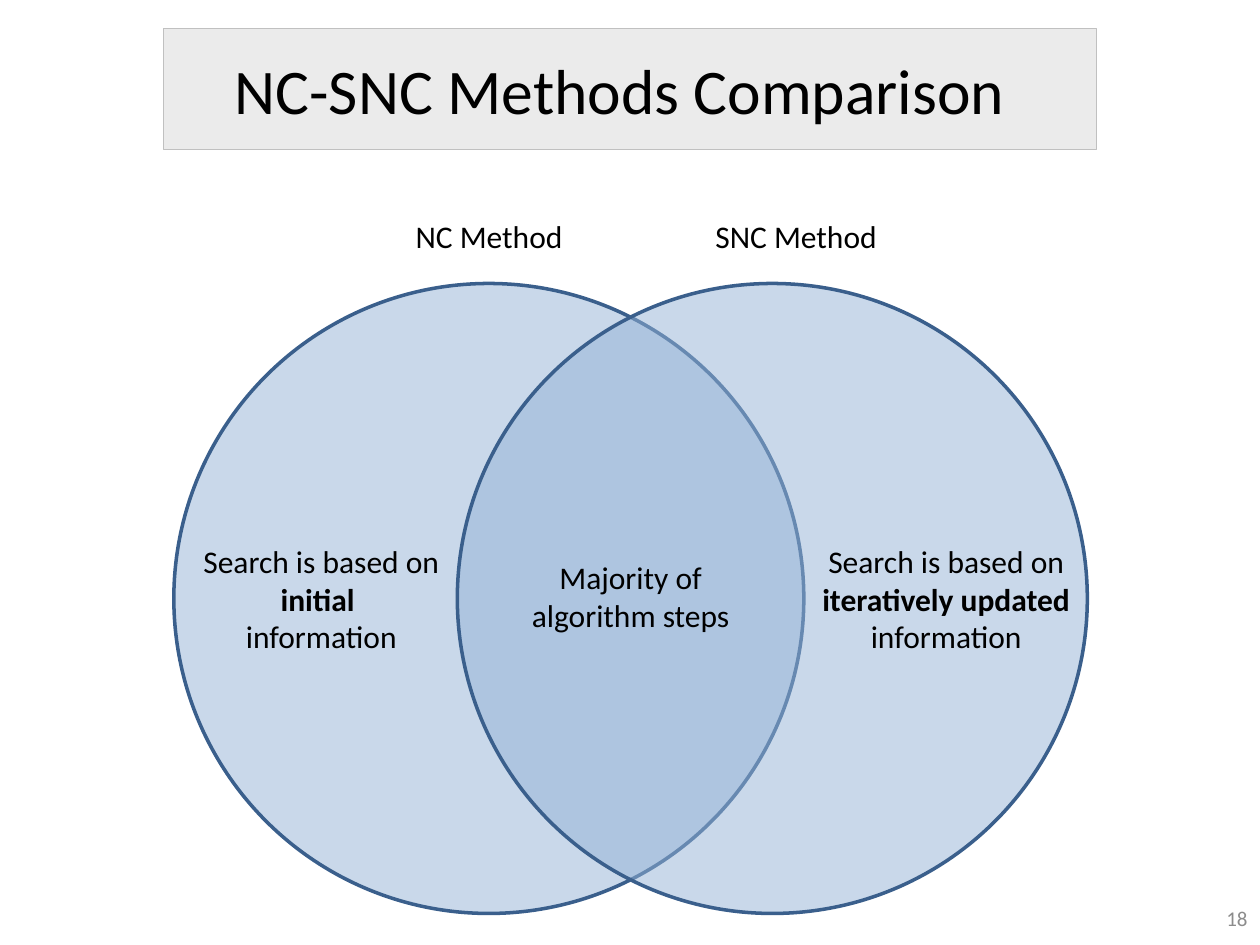
from dataclasses import dataclass

from lxml.etree import SubElement
from pptx import Presentation
from pptx.dml.color import RGBColor
from pptx.enum.shapes import MSO_SHAPE as Shape
from pptx.enum.text import MSO_ANCHOR as Anchor, PP_ALIGN as Align
from pptx.oxml.ns import qn
from pptx.util import Inches, Pt


@dataclass(frozen=True)
class Theme:
    font: str = "Calibri"
    text: RGBColor = RGBColor(0x00, 0x00, 0x00)
    muted: RGBColor = RGBColor(0x8C, 0x8C, 0x8C)
    banner: RGBColor = RGBColor(0xC0, 0xC0, 0xC0)
    circle: RGBColor = RGBColor(0x95, 0xB3, 0xD7)
    outline: RGBColor = RGBColor(0x3A, 0x5F, 0x8C)
    title_size: float = 36.3
    body_size: float = 18
    number_size: float = 12


theme = Theme()


def add_panel(kind, place, fill, opacity, line, weight):
    """Add a translucent, outlined shape."""
    panel = page.shapes.add_shape(kind, *map(Inches, place))
    panel.shadow.inherit = False
    panel.fill.solid()
    panel.fill.fore_color.rgb = fill
    color = panel.fill._xPr.find(qn("a:solidFill"))[0]
    SubElement(color, qn("a:alpha"), val=str(opacity * 1000))
    panel.line.color.rgb = line
    panel.line.width = Pt(weight)
    return panel


def write(box, paragraphs, size, color=theme.text, align=Align.CENTER,
          anchor=Anchor.TOP, wrap=True):
    """Fill a box with paragraphs, each a list of (text, bold) spans."""
    frame = box.text_frame
    frame.word_wrap = wrap
    frame.vertical_anchor = anchor
    for index, spans in enumerate(paragraphs):
        para = frame.add_paragraph() if index else frame.paragraphs[0]
        para.alignment = align
        para.font.name = theme.font
        para.font.size = Pt(size)
        para.font.color.rgb = color
        for text, bold in spans:
            span = para.add_run()
            span.text = text
            if bold:
                span.font.bold = True


deck = Presentation()
deck.slide_width, deck.slide_height = Inches(10), Inches(7.5)
page = deck.slides.add_slide(deck.slide_layouts[5])

# Title on its banner
title = page.shapes.title
title.left, title.top = Inches(1.42), Inches(0.42)
title.width, title.height = Inches(7), Inches(0.58)
write(title, [[("NC-SNC Methods Comparison", False)]], theme.title_size,
      anchor=Anchor.MIDDLE)
banner = add_panel(Shape.RECTANGLE, (1.3, 0.23, 7.4, 0.96),
                   theme.banner, 30, theme.banner, 0.5)
title.element.addprevious(banner.element)

# Method names
for name, left, width in (("NC Method", 3.2, 1.38), ("SNC Method", 5.58, 1.5)):
    box = page.shapes.add_textbox(*map(Inches, (left, 1.67, width, 0.4)))
    write(box, [[(name, False)]], theme.body_size, align=Align.LEFT, wrap=False)

# Overlapping circles
for left in (1.38, 3.63):
    add_panel(Shape.OVAL, (left, 2.25, 5, 5), theme.circle, 50, theme.outline, 2)

# Text of the three regions
regions = (
    ((1.3, 4.25, 2.5, 1.01),
     [[("Search is based on ", False), ("initial ", True)],
      [("information", False)]]),
    ((6.26, 4.25, 2.5, 1.01),
     [[("Search is based on ", False), ("iteratively updated", True),
       (" information", False)]]),
    ((3.92, 4.38, 2.17, 0.71),
     [[("Majority of algorithm steps", False)]]),
)
for place, paragraphs in regions:
    box = page.shapes.add_textbox(*map(Inches, place))
    write(box, paragraphs, theme.body_size)

# Slide number
number = page.shapes.add_textbox(*map(Inches, (9.58, 7.09, 0.42, 0.4)))
write(number, [[("18", False)]], theme.number_size, theme.muted, Align.RIGHT,
      Anchor.MIDDLE)

deck.save("out.pptx")
